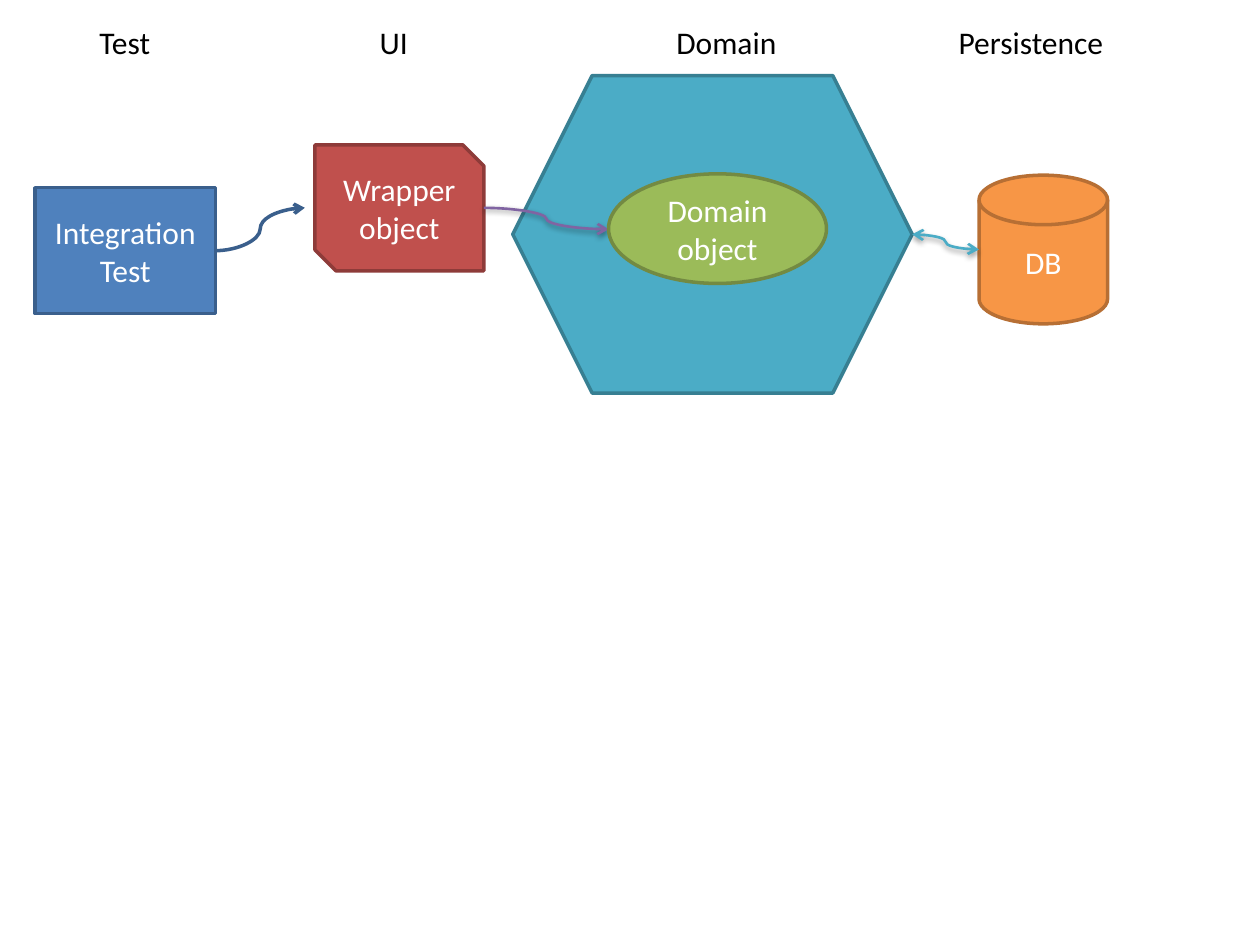
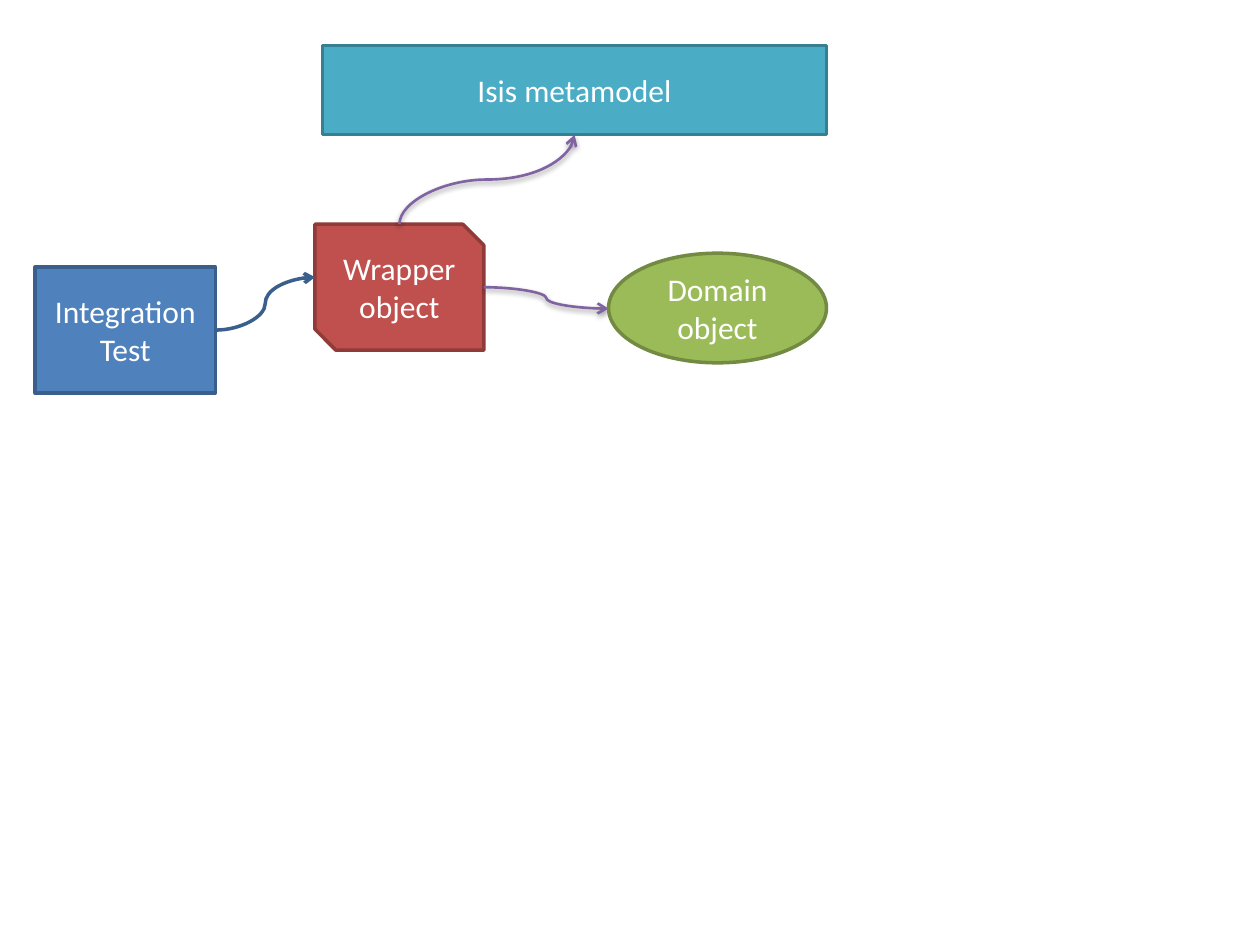
"""Build two diagrams of an integration test driving a domain object through its wrapper."""
import lxml.etree
import pptx
import pptx.dml.color
import pptx.enum.shapes
import pptx.enum.text
import pptx.oxml
import pptx.oxml.ns
import pptx.util

SHAPE = pptx.enum.shapes.MSO_SHAPE
ALIGN = pptx.enum.text.PP_ALIGN
BLUE = ("4F81BD", "3A5F8C")
RED = ("C0504D", "8E3B39")
GREEN = ("9BBB59", "738A42")
TEAL = ("4BACC6", "377F92")
ORANGE = ("F79646", "B76F34")
PURPLE = "8064A2"
SHADOW = (
    '<a:outerShdw xmlns:a="http://schemas.openxmlformats.org/drawingml/2006/main"'
    ' blurRad="40000" dist="20000" dir="5400000" rotWithShape="0">'
    '<a:srgbClr val="000000"><a:alpha val="38000"/></a:srgbClr></a:outerShdw>'
)


def color(code):
    return pptx.dml.color.RGBColor.from_string(code)


class Diagram:
    columns, rows = 100, 75
    font, size = "Calibri", 18

    def __init__(self):
        self.deck = pptx.Presentation()
        self.deck.slide_width = pptx.util.Inches(10)
        self.deck.slide_height = pptx.util.Inches(7.5)
        self.page = None

    def add_page(self):
        self.page = self.deck.slides.add_slide(self.deck.slide_layouts[6])

    def across(self, column):
        return round(self.deck.slide_width * column / self.columns)

    def down(self, row):
        return round(self.deck.slide_height * row / self.rows)

    def area(self, left, top, width, height):
        return self.across(left), self.down(top), self.across(width), self.down(height)

    def set_text(self, box, text, code, align):
        box.text_frame.text = text
        for para in box.text_frame.paragraphs:
            para.alignment = align
            for span in para.runs:
                span.font.name = self.font
                span.font.size = pptx.util.Pt(self.size)
                span.font.color.rgb = color(code)

    def node(self, kind, area, paint, text=""):
        box = self.page.shapes.add_shape(kind, *self.area(*area))
        box.shadow.inherit = False
        fill, outline = paint
        box.fill.solid()
        box.fill.fore_color.rgb = color(fill)
        box.line.color.rgb = color(outline)
        box.line.width = pptx.util.Pt(2)
        if text:
            box.text_frame.vertical_anchor = pptx.enum.text.MSO_ANCHOR.MIDDLE
            self.set_text(box, text, "FFFFFF", ALIGN.CENTER)

    def label(self, left, width, text, align=ALIGN.LEFT):
        box = self.page.shapes.add_textbox(*self.area(left, 1.3, width, 4))
        box.text_frame.word_wrap = False
        box.text_frame.auto_size = pptx.enum.text.MSO_AUTO_SIZE.SHAPE_TO_FIT_TEXT
        self.set_text(box, text, "000000", align)

    def curve(self, start, end, code, width=1.5, shadow=True, both=False, rising=False):
        (x1, y1), (x2, y2) = start, end
        if rising:
            middle_x, middle_y = (x1 + x2) / 2, (y1 + y2) / 2
            half_width, half_height = (y1 - y2) / 2, (x2 - x1) / 2
            x1, x2 = middle_x + half_width, middle_x - half_width
            y1, y2 = middle_y + half_height, middle_y - half_height
        link = self.page.shapes.add_connector(
            pptx.enum.shapes.MSO_CONNECTOR.CURVE,
            self.across(x1), self.down(y1), self.across(x2), self.down(y2))
        link.line.color.rgb = color(code)
        link.line.width = pptx.util.Pt(width)
        properties = link.element.spPr
        if rising:
            properties.find(pptx.oxml.ns.qn("a:xfrm")).set("rot", "5400000")
        stroke = properties.find(pptx.oxml.ns.qn("a:ln"))
        for tip in ("a:headEnd", "a:tailEnd") if both else ("a:tailEnd",):
            lxml.etree.SubElement(stroke, pptx.oxml.ns.qn(tip), type="arrow")
        effects = lxml.etree.SubElement(properties, pptx.oxml.ns.qn("a:effectLst"))
        if shadow:
            effects.append(pptx.oxml.parse_xml(SHADOW))

    def call_chain(self, top, arrow_end):
        self.node(SHAPE.SNIP_2_DIAG_RECTANGLE, (25, top, 13.4, 10), RED, "Wrapper\vobject")
        self.curve((38.4, top + 5), (48.3, top + 6.7), PURPLE)
        self.node(SHAPE.RECTANGLE, (2.8, top + 3.4, 14.3, 10), BLUE, "Integration\nTest")
        self.curve((17.1, top + 8.4), arrow_end, BLUE[1], width=2, shadow=False)
        self.node(SHAPE.OVAL, (48.3, top + 2.3, 17.3, 8.7), GREEN, "Domain\vobject")

    def layers_page(self):
        self.add_page()
        self.node(SHAPE.HEXAGON, (40.7, 6, 31.7, 25.2), TEAL)
        self.call_chain(11.5, (24.2, 16.5))
        self.node(SHAPE.FLOWCHART_MAGNETIC_DISK, (77.7, 13.9, 10.2, 11.8), ORANGE, "DB")
        self.curve((72.4, 18.6), (77.7, 19.8), TEAL[0], both=True)
        self.label(52.7, 10, "Domain")
        self.label(29.1, 4.3, "UI", ALIGN.CENTER)
        self.label(75.1, 13.6, "Persistence")
        self.label(6.9, 6.1, "Test")

    def metamodel_page(self):
        self.add_page()
        self.call_chain(17.8, (25, 22))
        self.node(SHAPE.RECTANGLE, (25.6, 3.6, 40, 7.1), TEAL, "Isis metamodel")
        self.curve((31.7, 17.8), (45.6, 10.7), PURPLE, rising=True)


def main():
    diagram = Diagram()
    diagram.layers_page()
    diagram.metamodel_page()
    diagram.deck.save("out.pptx")


if __name__ == "__main__":
    main()
